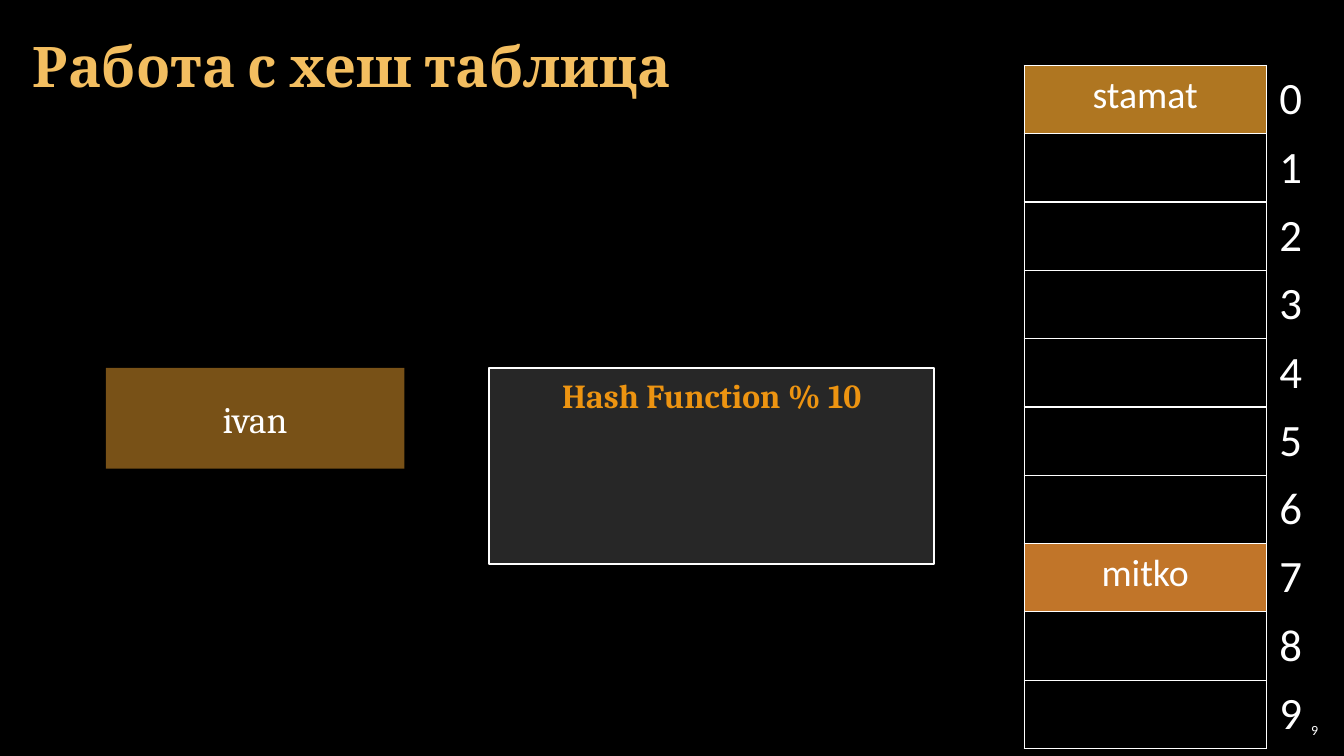
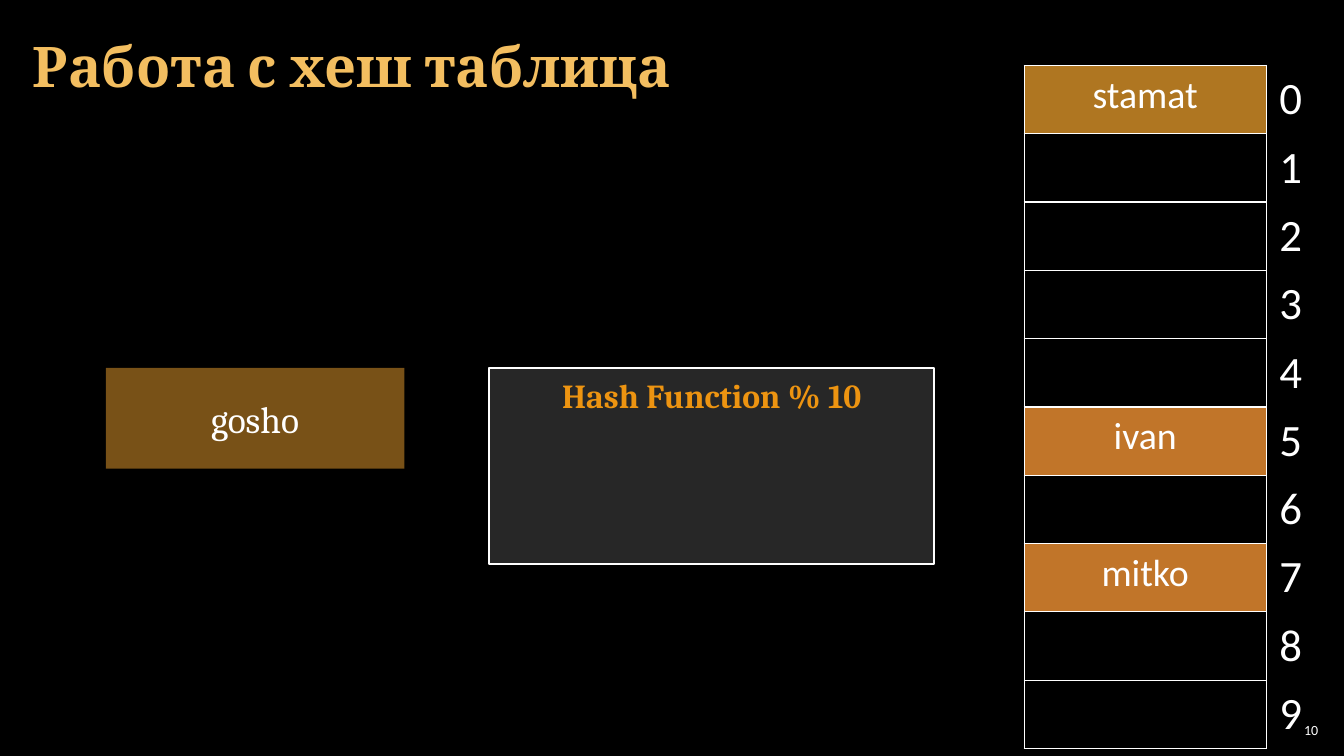
import pptx
import pptx.util
import pptx.dml.color
import pptx.enum.shapes
import pptx.enum.text
import pptx.oxml
import pptx.oxml.ns
from dataclasses import dataclass
from lxml import etree

Cm = pptx.util.Cm
Pt = pptx.util.Pt
ALIGN = pptx.enum.text.PP_ALIGN
ANCHOR = pptx.enum.text.MSO_ANCHOR
SHAPE = pptx.enum.shapes.MSO_SHAPE

TITLE = "Работа с хеш таблица"
HASH_LABEL = "Hash Function % 10"
SLOT_COUNT = 10
SLIDES = [
    {"number": 9, "key": "ivan", "slots": {0: "stamat", 7: "mitko"}},
    {"number": 10, "key": "gosho", "slots": {0: "stamat", 5: "ivan", 7: "mitko"}},
]


@dataclass(frozen=True)
class Theme:
    background: str = "000000"
    white: str = "FFFFFF"
    title: str = "F3BE60"
    accent: str = "ED9411"
    key: str = "F0A22E"
    panel: str = "272727"
    first_slot: str = "AF7621"
    slot: str = "C17529"
    heading_font: str = "Cambria"
    body_font: str = "Calibri"
    title_size: float = 40
    index_size: float = 32
    slot_size: float = 27
    key_size: float = 26.7
    label_size: float = 24
    number_size: float = 10


THEME = Theme()
SLIDE_SIZE = (33.87, 19.05)
TITLE_BOX = (0.53, 0.1, 32.8, 3.07)
KEY_BOX = (2.67, 9.27, 7.52, 2.54)
HASH_BOX = (12.32, 9.27, 11.23, 4.95)
NUMBER_BOX = (32.13, 18.14, 1.19, 0.53)
TABLE_ORIGIN = (25.81, 1.65)
COLUMN_WIDTHS = (6.1, 1.42)
ROW_HEIGHT = 1.7
INSETS = (0.33, 0.17)
TITLE_INSETS = (0.3, 0.1)
NUMBER_INSETS = (0.1, 0.1)
PLAIN_TABLE_STYLE = "{2D5ABB26-0587-4C30-8999-92F81FD0307C}"


def rgb(color):
    return pptx.dml.color.RGBColor.from_string(color)


def apply(target, values):
    for name, value in values.items():
        setattr(target, name, value)


def margins(insets):
    horizontal, vertical = (Cm(inset) for inset in insets)
    return {
        "margin_left": horizontal,
        "margin_right": horizontal,
        "margin_top": vertical,
        "margin_bottom": vertical,
    }


def write(frame, text, size, color=THEME.white, font=THEME.body_font,
          bold=False, align=ALIGN.LEFT):
    paragraph = frame.paragraphs[0]
    paragraph.alignment = align
    run = paragraph.add_run()
    run.text = text
    apply(run.font, {"name": font, "size": Pt(size), "bold": bold})
    run.font.color.rgb = rgb(color)


def set_frame(frame, anchor, insets=INSETS):
    apply(frame, {
        "word_wrap": True,
        "auto_size": pptx.enum.text.MSO_AUTO_SIZE.NONE,
        "vertical_anchor": anchor,
        **margins(insets),
    })


def paint(target, color):
    target.fill.solid()
    target.fill.fore_color.rgb = rgb(color)


def add_box(slide, kind, box, color):
    shape = slide.shapes.add_shape(kind, *map(Cm, box))
    shape.shadow.inherit = False
    paint(shape, color)
    return shape


def add_title(slide):
    title = slide.shapes.title
    apply(title, dict(zip(("left", "top", "width", "height"), map(Cm, TITLE_BOX))))
    set_frame(title.text_frame, ANCHOR.MIDDLE, TITLE_INSETS)
    write(title.text_frame, TITLE, THEME.title_size, THEME.title,
          THEME.heading_font, bold=True)


def add_borders(cell):
    properties = cell._tc.get_or_add_tcPr()
    for position, side in enumerate("LRTB"):
        properties.insert(position, pptx.oxml.parse_xml(
            f'<a:ln{side} {pptx.oxml.ns.nsdecls("a")} w="{Pt(1)}"><a:solidFill>'
            f'<a:srgbClr val="{THEME.white}"/></a:solidFill></a:ln{side}>'
        ))


def add_hash_table(slide, slots):
    size = (sum(COLUMN_WIDTHS), ROW_HEIGHT * SLOT_COUNT)
    frame = slide.shapes.add_table(SLOT_COUNT, len(COLUMN_WIDTHS),
                                   *map(Cm, TABLE_ORIGIN + size))
    table = frame.table
    apply(table, {"first_row": False, "horz_banding": False})
    table._tbl.tblPr.find(pptx.oxml.ns.qn("a:tableStyleId")).text = PLAIN_TABLE_STYLE
    for column, width in zip(table.columns, COLUMN_WIDTHS):
        column.width = Cm(width)
    for index, row in enumerate(table.rows):
        row.height = Cm(ROW_HEIGHT)
        slot_cell, index_cell = row.cells
        for cell in (slot_cell, index_cell):
            apply(cell, margins(INSETS))
            cell.fill.background()
        if index in slots:
            paint(slot_cell, THEME.slot if index else THEME.first_slot)
            write(slot_cell.text_frame, slots[index], THEME.slot_size,
                  align=ALIGN.CENTER)
        add_borders(slot_cell)
        write(index_cell.text_frame, str(index), THEME.index_size)


def add_key(slide, key):
    shape = add_box(slide, SHAPE.FLOWCHART_PROCESS, KEY_BOX, THEME.key)
    shape.line.fill.background()
    color = shape._element.spPr.find(".//" + pptx.oxml.ns.qn("a:srgbClr"))
    etree.SubElement(color, pptx.oxml.ns.qn("a:alpha"), val="50000")
    set_frame(shape.text_frame, ANCHOR.MIDDLE)
    write(shape.text_frame, key, THEME.key_size, font=THEME.heading_font,
          align=ALIGN.CENTER)


def add_hash_function(slide):
    shape = add_box(slide, SHAPE.RECTANGLE, HASH_BOX, THEME.panel)
    shape.line.color.rgb = rgb(THEME.white)
    shape.line.width = Pt(1.5)
    set_frame(shape.text_frame, ANCHOR.TOP)
    write(shape.text_frame, HASH_LABEL, THEME.label_size, THEME.accent,
          THEME.heading_font, bold=True, align=ALIGN.CENTER)


def add_number(slide, number):
    frame = slide.shapes.add_textbox(*map(Cm, NUMBER_BOX)).text_frame
    set_frame(frame, ANCHOR.MIDDLE, NUMBER_INSETS)
    write(frame, str(number), THEME.number_size, align=ALIGN.RIGHT)


def main():
    presentation = pptx.Presentation()
    width, height = map(Cm, SLIDE_SIZE)
    apply(presentation, {"slide_width": width, "slide_height": height})
    paint(presentation.slide_master.background, THEME.background)
    layout = presentation.slide_layouts.get_by_name("Title Only")
    for content in SLIDES:
        slide = presentation.slides.add_slide(layout)
        add_title(slide)
        add_hash_table(slide, content["slots"])
        add_key(slide, content["key"])
        add_hash_function(slide)
        add_number(slide, content["number"])
    presentation.save("out.pptx")


if __name__ == "__main__":
    main()
